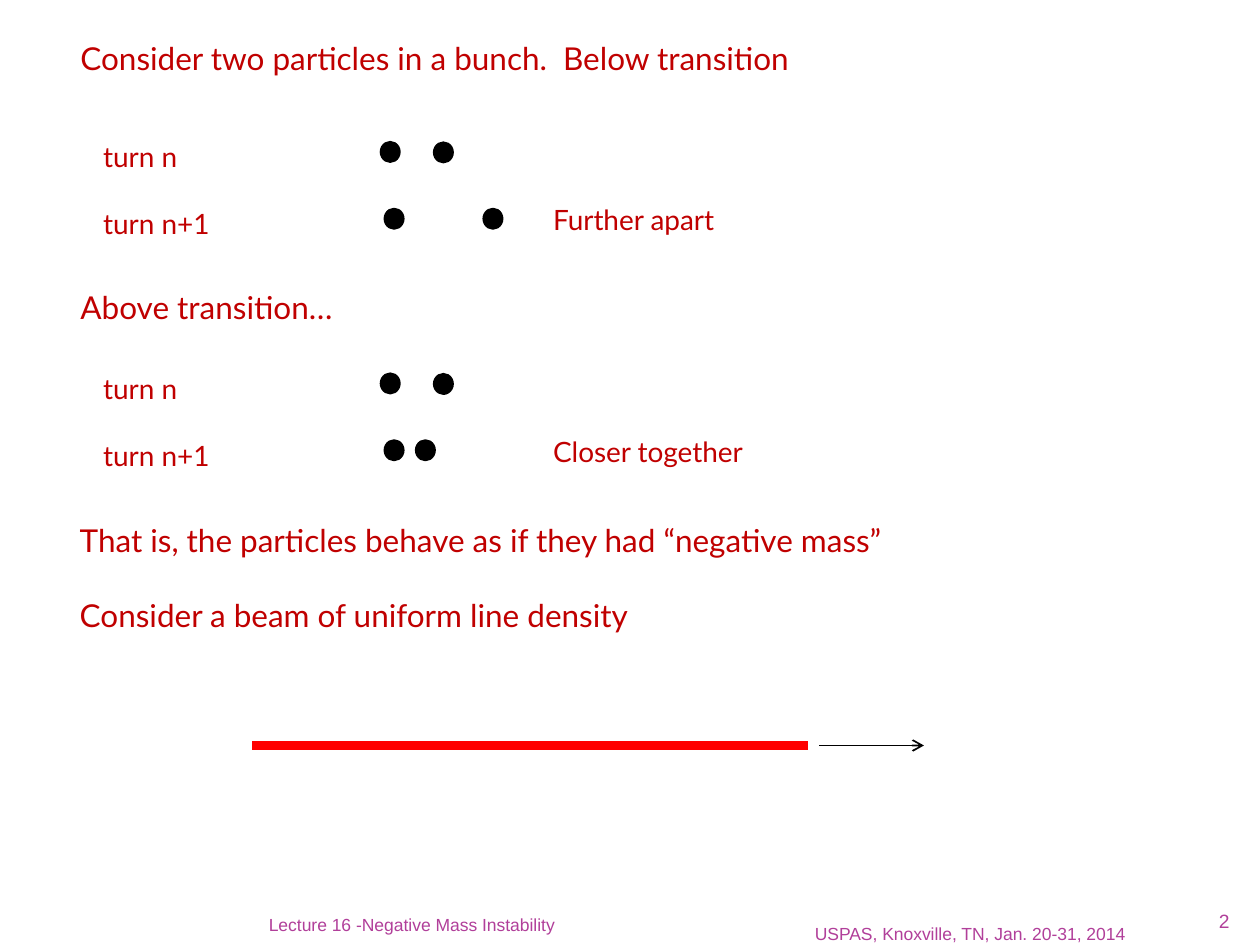
"""Build the slide on two particles below and above transition."""
from lxml import etree
from pptx import Presentation
from pptx.dml.color import RGBColor
from pptx.enum.shapes import MSO_CONNECTOR, MSO_SHAPE
from pptx.enum.text import MSO_ANCHOR, PP_ALIGN
from pptx.oxml.ns import qn
from pptx.util import Pt

STRAIGHT = MSO_CONNECTOR.STRAIGHT
OVAL = MSO_SHAPE.OVAL
TOP, BOTTOM = MSO_ANCHOR.TOP, MSO_ANCHOR.BOTTOM
LEFT, RIGHT = PP_ALIGN.LEFT, PP_ALIGN.RIGHT

COLOURS = {"text": "C00000", "footer": "B13F9A", "particle": "000000",
           "beam": "FF0000", "arrow": "000000"}
HEADING = {"name": "Lato", "size": Pt(18)}
LABEL = {"name": "Lato", "size": Pt(16)}
FOOTER = {"name": "Arial", "size": Pt(10)}
NUMBER = {"name": "Arial", "size": Pt(11)}


def colour(name):
    return RGBColor.from_string(COLOURS[name])


def add_text(place, lines, font, ink="text", anchor=TOP, align=LEFT, side=7.2, edge=3.6, gap=0):
    box = page.shapes.add_textbox(*[Pt(length) for length in place])
    frame = box.text_frame
    settings = {"word_wrap": True, "vertical_anchor": anchor,
                "margin_left": Pt(side), "margin_right": Pt(side),
                "margin_top": Pt(edge), "margin_bottom": Pt(edge)}
    for key, value in settings.items():
        setattr(frame, key, value)
    for index, line in enumerate(lines):
        para = frame.paragraphs[0] if index == 0 else frame.add_paragraph()
        para.alignment = align
        if index:
            para.space_before = Pt(gap)
        span = para.add_run()
        span.text = line
        for key, value in font.items():
            setattr(span.font, key, value)
        span.font.color.rgb = colour(ink)


deck = Presentation()
deck.slide_width, deck.slide_height = Pt(720), Pt(540)
page = deck.slides.add_slide(deck.slide_layouts[6])

footers = [
    ((414, 517, 236, 22.3), "USPAS, Knoxville, TN, Jan. 20-31, 2014", FOOTER, 7.2),
    ((36, 516.3, 288, 18), "Lecture 16 -Negative Mass Instability", FOOTER, 7.2),
    ((656.6, 514.8, 46, 18), "2", NUMBER, 0),
]
for place, line, font, side in footers:
    add_text(place, [line], font, "footer", BOTTOM, RIGHT, side, 0)

cases = [
    (0, "Consider two particles in a bunch.  Below transition", 18.9, "Further apart", 276.2),
    (132.3, "Above transition…", 161.3, "Closer together", 237.6),
]
for shift, heading, heading_top, result, second_left in cases:
    add_text((38.9, heading_top, 638.6, 29), [heading], HEADING)
    add_text((51.9, 76.3 + shift, 102, 65.5), ["turn n", "turn n+1"], LABEL, gap=19.2)
    add_text((309, 112.4 + shift, 152, 26.6), [result], LABEL)
    for left, top in [(217.5, 81), (247.9, 81.3), (219.7, 119.2), (second_left, 119.2)]:
        particle = page.shapes.add_shape(OVAL, Pt(left), Pt(top + shift), Pt(11), Pt(11.6))
        particle.shadow.inherit = False
        particle.fill.solid()
        particle.fill.fore_color.rgb = colour("particle")
        particle.line.color.rgb = colour("particle")
        particle.line.width = Pt(1)

add_text((38.5, 294, 638.6, 72.7),
         ["That is, the particles behave as if they had “negative mass”",
          "Consider a beam of uniform line density"], HEADING, gap=21.6)

for ink, start, end, width in [("beam", 144, 462, 5), ("arrow", 468, 528, 1)]:
    line = page.shapes.add_connector(STRAIGHT, Pt(start), Pt(426), Pt(end), Pt(426))
    line.line.color.rgb = colour(ink)
    line.line.width = Pt(width)
    if ink == "arrow":
        etree.SubElement(line.line._get_or_add_ln(), qn("a:tailEnd"), type="arrow")
    etree.SubElement(line._element.spPr, qn("a:effectLst"))

deck.save("out.pptx")
